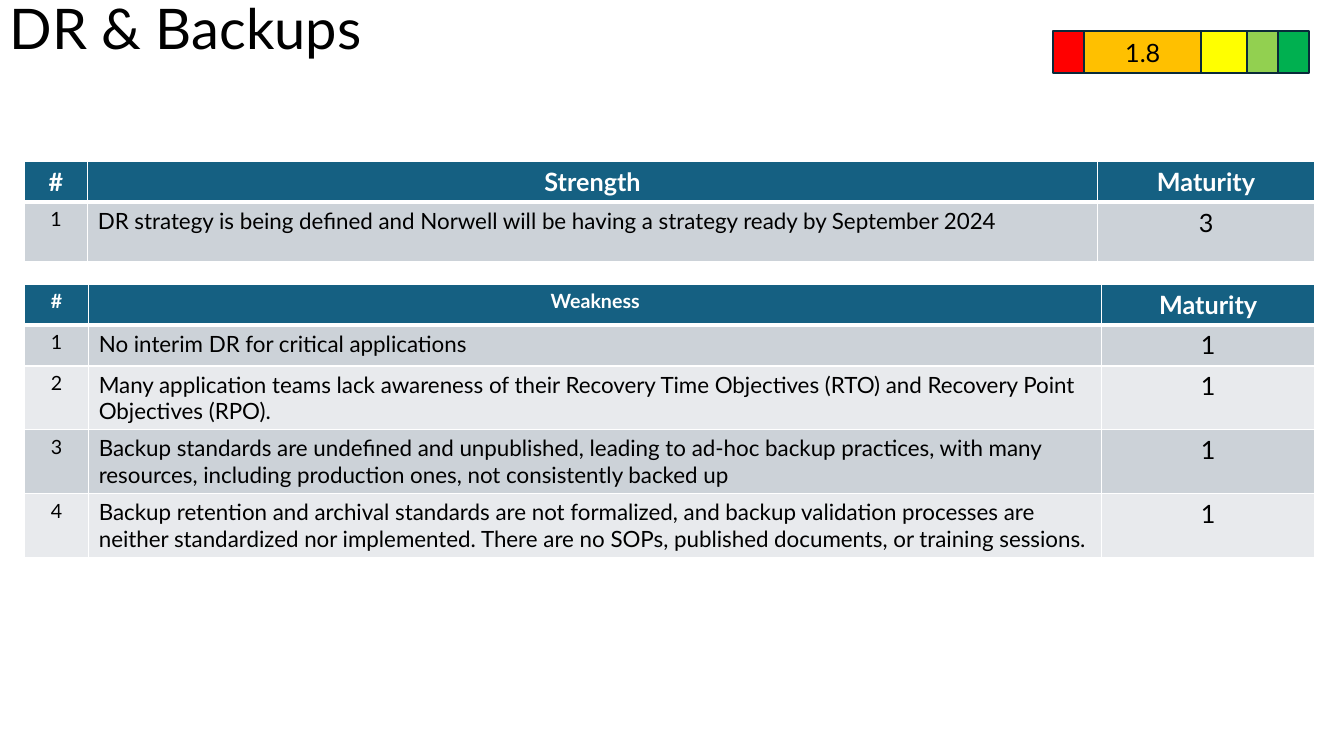
from dataclasses import dataclass

import lxml.etree
import pptx
import pptx.dml.color
import pptx.enum.shapes
import pptx.enum.text
import pptx.oxml.ns
import pptx.util

Pt = pptx.util.Pt
ALIGN = pptx.enum.text.PP_ALIGN
ANCHOR = pptx.enum.text.MSO_ANCHOR


@dataclass(frozen=True)
class Theme:
    font: str = "Lato"
    black: str = "000000"
    white: str = "FFFFFF"
    header: str = "156082"
    bands: tuple[str, str] = ("CCD2D8", "E8EAED")
    outline: str = "092A39"
    title_size: float = 40
    large_size: float = 18
    body_size: float = 16
    small_size: float = 14


@dataclass(frozen=True)
class Finding:
    text: str
    maturity: str
    height: float


@dataclass(frozen=True)
class FindingTable:
    heading: str
    heading_size: float
    top: float
    widths: tuple[float, float, float]
    findings: tuple[Finding, ...]


@dataclass(frozen=True)
class ScaleBand:
    step: int
    color: str
    width: float = 94.3
    label: str = ""


THEME = Theme()
TABLE_LEFT = 17.3
HEADER_HEIGHT = 29.2
TWO_LINES = 45.6
SCALE_LEFT, SCALE_TOP, SCALE_STEP, SCALE_HEIGHT = 752.4, 22.4, 22.15, 29.5

# Later bands lie on top of earlier ones.
SCALE = (
    ScaleBand(4, "00B050"),
    ScaleBand(3, "92D050"),
    ScaleBand(0, "FF0000"),
    ScaleBand(2, "FFFF00"),
    ScaleBand(1, "FFC000", width=83.5, label="1.8"),
)

TABLES = (
    FindingTable("Strength", THEME.large_size, 115.2, (45.4, 721.2, 155.2), (
        Finding("DR strategy is being defined and Norwell will be having a strategy "
                "ready by September 2024", "3", 42.8),
    )),
    FindingTable("Weakness", THEME.small_size, 203, (46.1, 723.6, 152.1), (
        Finding("No interim DR for critical applications", "1", HEADER_HEIGHT),
        Finding("Many application teams lack awareness of their Recovery Time Objectives "
                "(RTO) and Recovery Point Objectives (RPO).", "1", TWO_LINES),
        Finding("Backup standards are undefined and unpublished, leading to ad-hoc backup "
                "practices, with many resources, including production ones, not "
                "consistently backed up", "1", TWO_LINES),
        Finding("Backup retention and archival standards are not formalized, and backup "
                "validation processes are neither standardized nor implemented. There are "
                "no SOPs, published documents, or training sessions.", "1", TWO_LINES),
    )),
)


def rgb(color: str) -> pptx.dml.color.RGBColor:
    return pptx.dml.color.RGBColor.from_string(color)


def write(frame, text: str, *, size: float, color: str = THEME.black, bold: bool = False,
          align=ALIGN.LEFT, line_spacing: float | None = None) -> None:
    para = frame.paragraphs[0]
    para.alignment = align
    para.line_spacing = line_spacing
    span = para.add_run()
    span.text = text
    span.font.name = THEME.font
    span.font.size = Pt(size)
    span.font.bold = bold
    span.font.color.rgb = rgb(color)


def add_borders(cell, bottom: float) -> None:
    """Give a cell white 1 pt borders, with its own bottom width."""
    properties = cell._tc.get_or_add_tcPr()
    name = pptx.oxml.ns.qn
    for side, width in (("L", 1), ("R", 1), ("T", 1), ("B", bottom)):
        line = lxml.etree.SubElement(properties, name(f"a:ln{side}"), w=str(Pt(width)))
        fill = lxml.etree.SubElement(line, name("a:solidFill"))
        lxml.etree.SubElement(fill, name("a:srgbClr"), val=THEME.white)


def fill_cell(cell, text: str, fill: str, *, border_bottom: float = 1, **text_format) -> None:
    add_borders(cell, border_bottom)
    cell.fill.solid()
    cell.fill.fore_color.rgb = rgb(fill)
    write(cell.text_frame, text, **text_format)


def add_finding_table(page, content: FindingTable) -> None:
    heights = [HEADER_HEIGHT] + [finding.height for finding in content.findings]
    table = page.shapes.add_table(
        len(heights), len(content.widths), Pt(TABLE_LEFT), Pt(content.top),
        Pt(sum(content.widths)), Pt(sum(heights))).table
    for column, width in zip(table.columns, content.widths):
        column.width = Pt(width)
    for row, height in zip(table.rows, heights):
        row.height = Pt(height)

    headings = (("#", content.heading_size), (content.heading, content.heading_size),
                ("Maturity", THEME.large_size))
    for column, (text, size) in enumerate(headings):
        fill_cell(table.cell(0, column), text, THEME.header, border_bottom=3, size=size,
                  color=THEME.white, bold=True, align=ALIGN.CENTER)

    for number, finding in enumerate(content.findings, start=1):
        values = ((str(number), THEME.small_size, ALIGN.CENTER),
                  (finding.text, THEME.body_size, ALIGN.LEFT),
                  (finding.maturity, THEME.large_size, ALIGN.CENTER))
        for column, (text, size, align) in enumerate(values):
            fill_cell(table.cell(number, column), text, THEME.bands[(number - 1) % 2],
                      size=size, align=align)


def add_scale(page) -> None:
    group = page.shapes.add_group_shape()
    for band in SCALE:
        box = group.shapes.add_shape(
            pptx.enum.shapes.MSO_SHAPE.RECTANGLE, Pt(SCALE_LEFT + band.step * SCALE_STEP),
            Pt(SCALE_TOP), Pt(band.width), Pt(SCALE_HEIGHT))
        box.shadow.inherit = False
        box.fill.solid()
        box.fill.fore_color.rgb = rgb(band.color)
        box.line.color.rgb = rgb(THEME.outline)
        box.line.width = Pt(1.5)
        if band.label:
            box.text_frame.vertical_anchor = ANCHOR.MIDDLE
            write(box.text_frame, band.label, size=THEME.large_size, align=ALIGN.CENTER)


def add_title(page) -> None:
    frame = page.shapes.add_textbox(Pt(0), Pt(-29.5), Pt(828), Pt(104.4)).text_frame
    frame.word_wrap = True
    frame.vertical_anchor = ANCHOR.MIDDLE
    write(frame, "DR & Backups", size=THEME.title_size, line_spacing=0.9)


def main() -> None:
    deck = pptx.Presentation()
    deck.slide_width, deck.slide_height = Pt(960), Pt(540)
    page = deck.slides.add_slide(deck.slide_layouts[6])
    add_title(page)
    for content in TABLES:
        add_finding_table(page, content)
    add_scale(page)
    deck.save("out.pptx")


if __name__ == "__main__":
    main()
